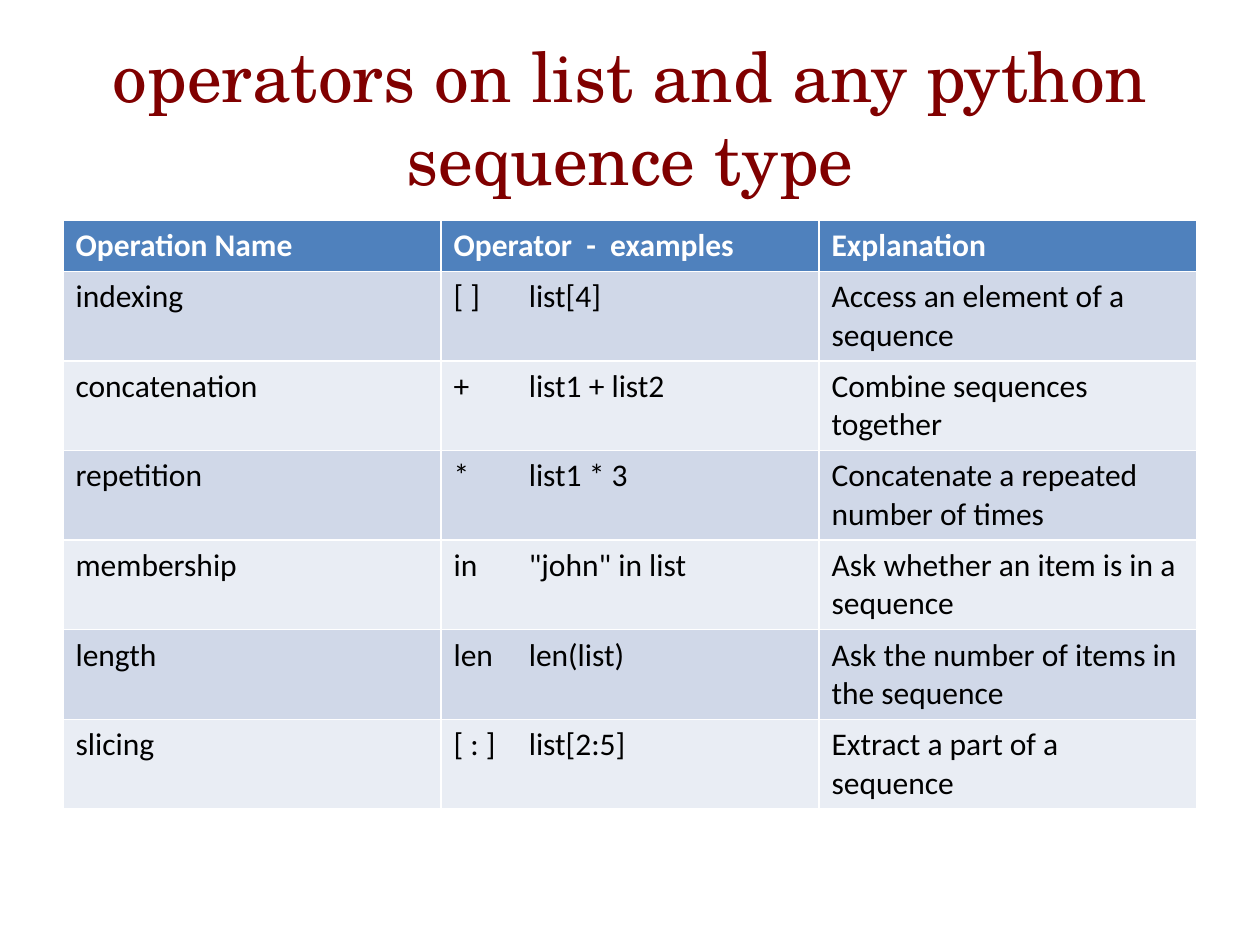
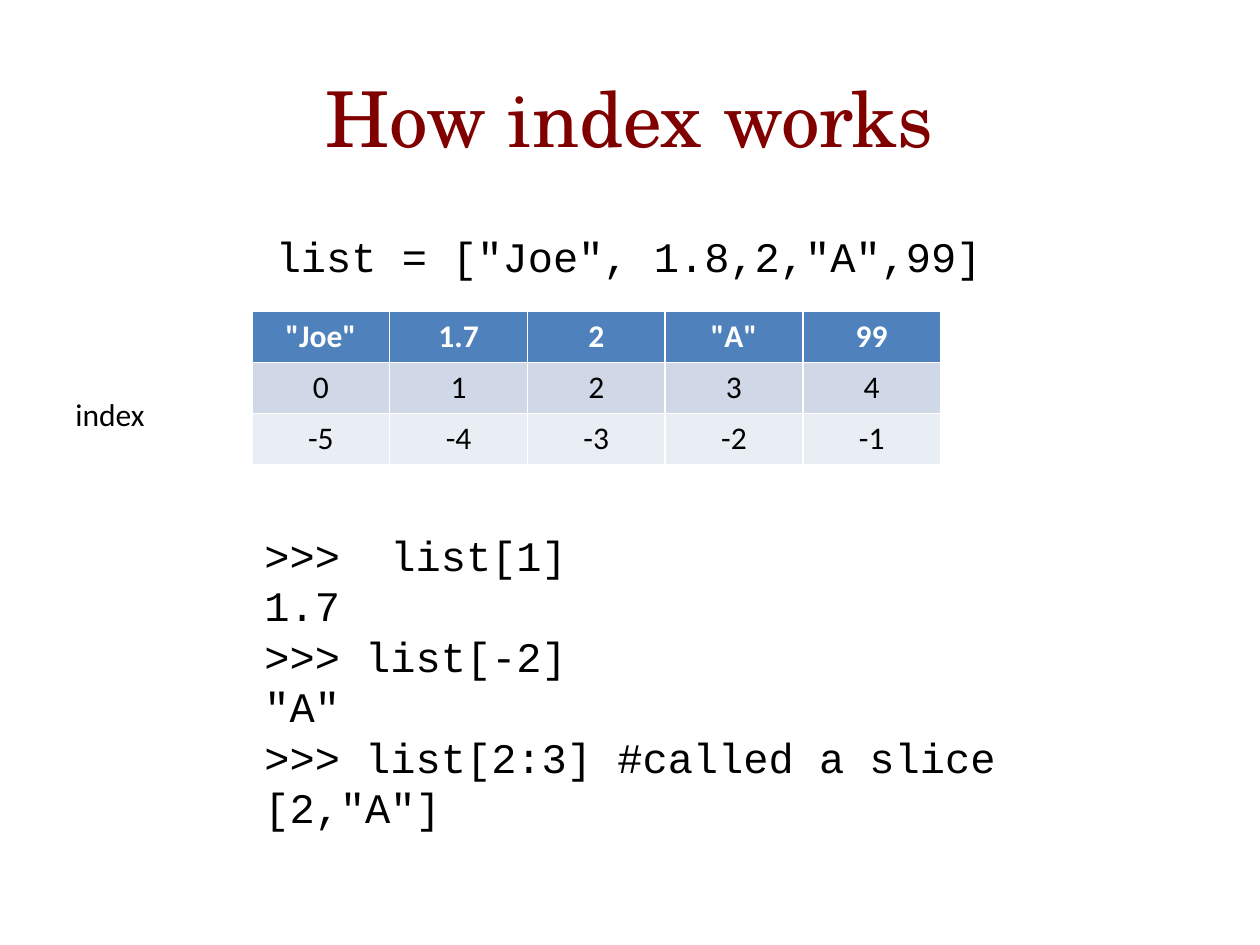
"""Build two slides on Python list operators and indexing."""
from lxml import etree
from pptx import Presentation
from pptx.dml.color import RGBColor
from pptx.enum.text import MSO_ANCHOR, PP_ALIGN
from pptx.oxml.ns import qn
from pptx.util import Pt

MIDDLE = MSO_ANCHOR.MIDDLE
LEFT, CENTER = PP_ALIGN.LEFT, PP_ALIGN.CENTER
TITLE_ONLY = 5

THEME = {
    "title": {"name": "TeX Gyre Schola", "size": 44, "color": "800000"},
    "head": {"name": "Calibri", "size": 18, "color": "FFFFFF", "bold": True},
    "body": {"name": "Calibri", "size": 18, "color": "000000", "bold": False},
    "code": {"name": "Courier New", "size": 24, "color": "000000"},
    "fill": "4F81BD",
    "bands": ("D0D8E8", "E9EDF4"),
}
PAGE = (720, 540)
TITLE_BOX = (36, 21.6, 648, 90)
ROW = 29.2
TAB = 43

SLIDES = [
    {
        "title": "operators on list and any python sequence type",
        "size": 39.6,
        "table": {
            "box": (36, 126, 648, 332),
            "align": LEFT,
            "rows": [
                ("Operation Name", "Operator  -  examples", "Explanation"),
                ("indexing", "[ ]\tlist[4]", "Access an element of a sequence"),
                ("concatenation", "+\tlist1 + list2", "Combine sequences together"),
                ("repetition", "*\tlist1 * 3", "Concatenate a repeated number of times"),
                ("membership", 'in\t"john" in list', "Ask whether an item is in a sequence"),
                ("length", "len\tlen(list)", "Ask the number of items in the sequence"),
                ("slicing", "[ : ]\tlist[2:5]", "Extract a part of a sequence"),
            ],
        },
        "texts": [],
    },
    {
        "title": "How index works",
        "size": 44,
        "table": {
            "box": (144, 178, 393.5, 87.6),
            "align": CENTER,
            "rows": [
                ('"Joe"', "1.7", "2", '"A"', "99"),
                tuple(str(n) for n in range(5)),
                tuple(str(n) for n in range(-5, 0)),
            ],
        },
        "texts": [
            ("code", (150.5, 128, 422, 36), ['list = ["Joe", 1.8,2,"A",99]']),
            ("body", (36, 222, 55, 51), ["index"]),
            ("code", (144, 299, 436, 181.5), [
                ">>>  list[1]", "1.7", ">>> list[-2]", '"A"',
                ">>> list[2:3] #called a slice", '[2,"A"]',
            ]),
        ],
    },
]


def style(font, look):
    for key, value in look.items():
        if key == "color":
            font.color.rgb = RGBColor.from_string(value)
        else:
            setattr(font, key, Pt(value) if key == "size" else value)


def write(frame, lines, look, align=LEFT):
    for i, line in enumerate(lines):
        para = frame.add_paragraph() if i else frame.paragraphs[0]
        para.alignment = align
        run = para.add_run()
        run.text = line
        style(run.font, look)
        if "\t" in line:
            stops = etree.SubElement(para._p.get_or_add_pPr(), qn("a:tabLst"))
            etree.SubElement(stops, qn("a:tab"), pos=str(Pt(TAB)), algn="l")


def add_title(slide, text, size):
    title = slide.shapes.title
    for key, value in zip(("left", "top", "width", "height"), TITLE_BOX):
        setattr(title, key, Pt(value))
    title.text_frame.vertical_anchor = MIDDLE
    write(title.text_frame, [text], {**THEME["title"], "size": size}, CENTER)


def add_grid(slide, box, align, rows):
    count = len(rows[0])
    shape = slide.shapes.add_table(len(rows), count, *map(Pt, box))
    grid = shape.table
    for col in grid.columns:
        col.width = Pt(box[2] / count)
    for r, row in enumerate(rows):
        grid.rows[r].height = Pt(ROW)
        look = THEME["body" if r else "head"]
        fill = THEME["bands"][(r - 1) % 2] if r else THEME["fill"]
        for c, text in enumerate(row):
            cell = grid.cell(r, c)
            cell.fill.solid()
            cell.fill.fore_color.rgb = RGBColor.from_string(fill)
            write(cell.text_frame, [text], look, align)
    shape.height = Pt(box[3])


def add_text(slide, look, box, lines):
    frame = slide.shapes.add_textbox(*map(Pt, box)).text_frame
    frame.word_wrap = False
    write(frame, lines, THEME[look])


def build():
    deck = Presentation()
    deck.slide_width, deck.slide_height = map(Pt, PAGE)
    for data in SLIDES:
        slide = deck.slides.add_slide(deck.slide_layouts[TITLE_ONLY])
        add_title(slide, data["title"], data["size"])
        add_grid(slide, **data["table"])
        for text in data["texts"]:
            add_text(slide, *text)
    deck.save("out.pptx")


build()
